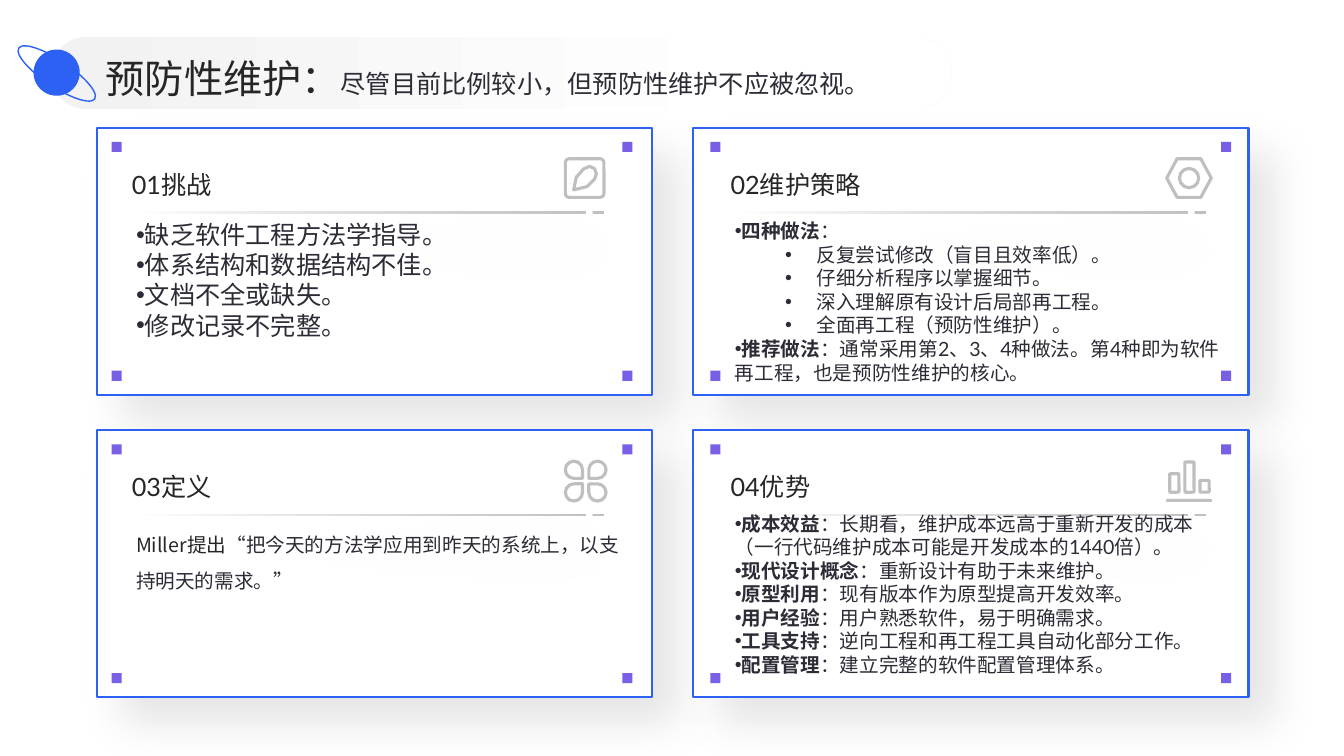
from dataclasses import dataclass

from lxml.etree import SubElement
from pptx import Presentation
from pptx.dml.color import RGBColor
from pptx.enum.shapes import MSO_SHAPE as Preset
from pptx.enum.text import MSO_ANCHOR as Anchor, MSO_AUTO_SIZE as AutoSize, PP_ALIGN as Align
from pptx.oxml import parse_xml
from pptx.oxml.ns import nsdecls, qn
from pptx.util import Inches, Pt

BLUE = RGBColor(0x2C, 0x61, 0xF4)
PURPLE = RGBColor(0x79, 0x5F, 0xE5)
WHITE = RGBColor(0xFF, 0xFF, 0xFF)
MIST = RGBColor(0xF2, 0xF2, 0xF2)
INK = RGBColor(0x26, 0x26, 0x26)
BODY = RGBColor(0x2C, 0x2C, 0x36)
ICON = RGBColor(0xBF, 0xBF, 0xBF)
RULE_START = RGBColor(0x59, 0x59, 0x59)
RULE_END = RGBColor(0x80, 0x80, 0x80)
BLACK = RGBColor(0, 0, 0)
GLOW = RGBColor(0x0B, 0x3E, 0xCD)
LATIN, HAN = "Lato", "Noto Sans CJK SC"

COLUMNS, ROWS = 160, 90
CARD_LEFT, CARD_TOP, CARD_WIDTH, CARD_HEIGHT = 11.5, 15.2, 66.1, 31.8
CARD_PITCH, TEXT_PITCH, ORNAMENT_PITCH, ROW_PITCH = 71.04, 71.28, 71.6, 36
ICON_STROKE = 2.25


@dataclass
class Run:
    text: str
    bold: bool = None
    size: int = None
    font: str = None
    color: RGBColor = None


@dataclass
class Point:
    runs: list
    level: int = 0
    bullet: bool = True


def labelled(label, detail):
    return Point([Run(label, bold=True), Run(detail)])


CARDS = [
    ("01挑战", 18, 10.9, [Point([Run(text)]) for text in (
        "缺乏软件工程方法学指导。", "体系结构和数据结构不佳。",
        "文档不全或缺失。", "修改记录不完整。")]),
    ("02维护策略", 14, 10.9, [
        labelled("四种做法", "："),
        *[Point([Run(text)], level=1) for text in (
            "反复尝试修改（盲目且效率低）。", "仔细分析程序以掌握细节。",
            "深入理解原有设计后局部再工程。", "全面再工程（预防性维护）。")],
        labelled("推荐做法", "：通常采用第2、3、4种做法。第4种即为软件再工程，也是预防性维护的核心。")]),
    ("03定义", 14, 10.9, [Point([
        Run("Miller提出", font=HAN, color=INK),
        Run("“把今天的方法学应用到昨天的系统上，以支持明天的需求。”")], bullet=False)]),
    ("04优势", 14, 9.7, [
        labelled("成本效益", "：长期看，维护成本远高于重新开发的成本（一行代码维护成本可能是开发成本的1440倍）。"),
        labelled("现代设计概念", "：重新设计有助于未来维护。"),
        labelled("原型利用", "：现有版本作为原型提高开发效率。"),
        labelled("用户经验", "：用户熟悉软件，易于明确需求。"),
        labelled("工具支持", "：逆向工程和再工程工具自动化部分工作。"),
        labelled("配置管理", "：建立完整的软件配置管理体系。")]),
]


class Board:
    """Draws styled elements on one slide, measured in grid cells."""

    def __init__(self, deck):
        self.slide = deck.slides.add_slide(deck.slide_layouts[5])
        self.shapes = self.slide.shapes
        self.cell_x = deck.slide_width / COLUMNS
        self.cell_y = deck.slide_height / ROWS

    def box(self, x, y, width, height):
        return [round(value * cell) for value, cell in
                zip((x, y, width, height), (self.cell_x, self.cell_y) * 2)]

    def paint(self, shape, fill=None, line=None, weight=1.0):
        shape.shadow.inherit = False
        if fill is None:
            shape.fill.background()
        else:
            shape.fill.solid()
            shape.fill.fore_color.rgb = fill
        if line is None:
            shape.line.fill.background()
        else:
            shape.line.color.rgb = line
            shape.line.width = Pt(weight)
        return shape

    def shape(self, preset, x, y, width, height, adjust=None, turn=0, **style):
        shape = self.shapes.add_shape(preset, *self.box(x, y, width, height))
        if adjust is not None:
            shape.adjustments[0] = adjust
        shape.rotation = turn
        return self.paint(shape, **style)

    def polygon(self, *contours, **style):
        scaled = [[(px * self.cell_x, py * self.cell_y) for px, py in contour] for contour in contours]
        builder = self.shapes.build_freeform(*scaled[0][0])
        for index, contour in enumerate(scaled):
            if index:
                builder.move_to(*contour[0])
            builder.add_line_segments(contour[1:], close=True)
        return self.paint(builder.convert_to_shape(), **style)

    def gradient(self, shape, stops, direction):
        marks = "".join(
            f'<a:gs pos="{place * 1000}"><a:srgbClr val="{color}"><a:alpha val="{alpha * 1000}"/></a:srgbClr></a:gs>'
            for place, color, alpha in stops)
        plain = shape._element.spPr.find(qn("a:noFill"))
        plain.getparent().replace(plain, parse_xml(
            f'<a:gradFill {nsdecls("a")} rotWithShape="1"><a:gsLst>{marks}</a:gsLst>{direction}</a:gradFill>'))

    def shadow(self, shape, color, alpha, blur, distance, angle):
        effects = shape._element.spPr.find(qn("a:effectLst"))
        effects.append(parse_xml(
            f'<a:outerShdw {nsdecls("a")} blurRad="{Pt(blur)}" dist="{Pt(distance)}" dir="{angle * 60000}" '
            f'algn="tl" rotWithShape="0"><a:srgbClr val="{color}"><a:alpha val="{alpha * 1000}"/>'
            '</a:srgbClr></a:outerShdw>'))

    def fill_text(self, holder, points, size, color, spacing, anchor=Anchor.TOP):
        frame = holder.text_frame
        frame.word_wrap, frame.auto_size, frame.vertical_anchor = True, AutoSize.NONE, anchor
        frame.margin_left = frame.margin_right = frame.margin_top = frame.margin_bottom = 0
        for index, point in enumerate(points):
            paragraph = frame.add_paragraph() if index else frame.paragraphs[0]
            paragraph.alignment, paragraph.level = Align.LEFT, point.level
            paragraph.line_spacing = spacing
            if point.bullet:
                props = paragraph._p.get_or_add_pPr()
                props.set("marL", str(Inches(0.81 * point.level)))
                props.set("indent", str(Inches(-0.31 * point.level)))
                SubElement(props, qn("a:buFont"), typeface="Arial")
                SubElement(props, qn("a:buChar"), char="•")
            font = paragraph.font
            font.size, font.name, font.color.rgb = Pt(size), LATIN, color
            SubElement(font._rPr, qn("a:ea"), typeface=HAN)
            for part in point.runs:
                run = paragraph.add_run()
                run.text, run.font.bold, run.font.name = part.text, part.bold, part.font
                if part.size:
                    run.font.size = Pt(part.size)
                if part.color:
                    run.font.color.rgb = part.color

    def text(self, x, y, width, height, points, size, color, spacing=1.0, anchor=Anchor.TOP):
        holder = self.shapes.add_textbox(*self.box(x, y, width, height))
        self.fill_text(holder, points, size, color, spacing, anchor)

    def header(self, title, remark):
        band = self.shape(Preset.ROUNDED_RECTANGLE, 6, 4.4, 107.3, 8.6, adjust=0.5)
        self.gradient(band, [(0, MIST, 100), (80, WHITE, 100)], '<a:lin ang="0" scaled="0"/>')
        heading = self.shapes.title
        heading.left, heading.top, heading.width, heading.height = self.box(12.6, 5.9, 140, 6.1)
        runs = [Run(title, size=28, font=HAN, color=INK), Run(remark, size=18, color=BODY)]
        self.fill_text(heading, [Point(runs, bullet=False)], 18, BODY, 1.1, Anchor.MIDDLE)
        self.shapes._spTree.append(heading._element)
        self.shape(Preset.OVAL, 4, 5.9, 5.5, 5.5, fill=BLUE)
        self.shape(Preset.OVAL, 1.3, 7.2, 10.9, 3.1, turn=33.8, line=BLUE)

    def divider(self, x, y):
        spans = ((54.2, 55.6), (0, 53.4))
        rule = self.polygon(*[[(x + a, y), (x + b, y), (x + b, y + 0.17), (x + a, y + 0.17)] for a, b in spans])
        self.gradient(rule, [(0, RULE_START, 0), (100, RULE_END, 50)],
                      '<a:path path="circle"><a:fillToRect r="100000" b="100000"/></a:path>')
        self.shadow(rule, GLOW, 43, 35, 25, 90)

    def icon(self, number, x, y):
        stroke = {"line": ICON, "weight": ICON_STROKE}
        if number == 0:
            self.shape(Preset.ROUNDED_RECTANGLE, x + 0.2, y + 0.2, 4.6, 4.6, adjust=0.1, **stroke)
            leaf = [(1.2, 3.9), (1.5, 2.4), (2.4, 1.4), (3.1, 1.1), (3.7, 1.4), (3.9, 2), (3.7, 2.6), (2.8, 3.5)]
            self.polygon([(x + dx, y + dy) for dx, dy in leaf], **stroke)
        elif number == 1:
            self.shape(Preset.HEXAGON, x + 0.2, y + 0.2, 5.3, 4.6, adjust=0.27, **stroke)
            self.shape(Preset.OVAL, x + 1.7, y + 1.35, 2.3, 2.3, **stroke)
        elif number == 2:
            for petal, turn in enumerate((90, 180, 0, 270)):
                row, column = divmod(petal, 2)
                self.shape(Preset.TEAR, x + 0.2 + 2.8 * column, y + 0.2 + 2.7 * row, 2.05, 2.05, turn=turn, **stroke)
        else:
            for bar, top in enumerate((1.7, 0.3, 2.5)):
                self.shape(Preset.ROUNDED_RECTANGLE, x + 0.55 + 1.8 * bar, y + top, 1.1, 3.9 - top,
                           adjust=0.1, **stroke)
            self.shape(Preset.ROUNDED_RECTANGLE, x + 0.1, y + 4.7, 5.5, 0.36, adjust=0.5, fill=ICON)

    def card(self, number, heading, size, body_offset, points):
        row, column = divmod(number, 2)
        top = CARD_TOP + ROW_PITCH * row
        left, text_left, ornament_left = (
            CARD_LEFT + pitch * column for pitch in (CARD_PITCH, TEXT_PITCH, ORNAMENT_PITCH))
        panel = self.shape(Preset.RECTANGLE, left, top, CARD_WIDTH, CARD_HEIGHT, fill=WHITE, line=BLUE, weight=1.5)
        self.shadow(panel, BLACK, 10, 30, 25, 45)
        for corner in range(4):
            down, across = divmod(corner, 2)
            self.shape(Preset.RECTANGLE, text_left + 1.8 + 60.8 * across, top + 1.7 + 27.24 * down,
                       1.2, 1.2, fill=PURPLE)
        self.text(text_left + 4.2, top + 1.3, 51.5, 7.2, [Point([Run(heading)], bullet=False)],
                  18, INK, 1.5, Anchor.BOTTOM)
        spacing = 1.0 if points[0].bullet else 1.5
        self.text(text_left + 4.7, top + body_offset, 58, 16.6, points, size, BODY, spacing)
        self.divider(ornament_left + 4.8, top + 10)
        self.icon(number, ornament_left + 55.6, top + 3.5)


def main():
    deck = Presentation()
    deck.slide_width, deck.slide_height = Inches(13.33), Inches(7.5)
    board = Board(deck)
    for number, card in enumerate(CARDS):
        board.card(number, *card)
    board.header("预防性维护：", "尽管目前比例较小，但预防性维护不应被忽视。")
    deck.save("out.pptx")


if __name__ == "__main__":
    main()
